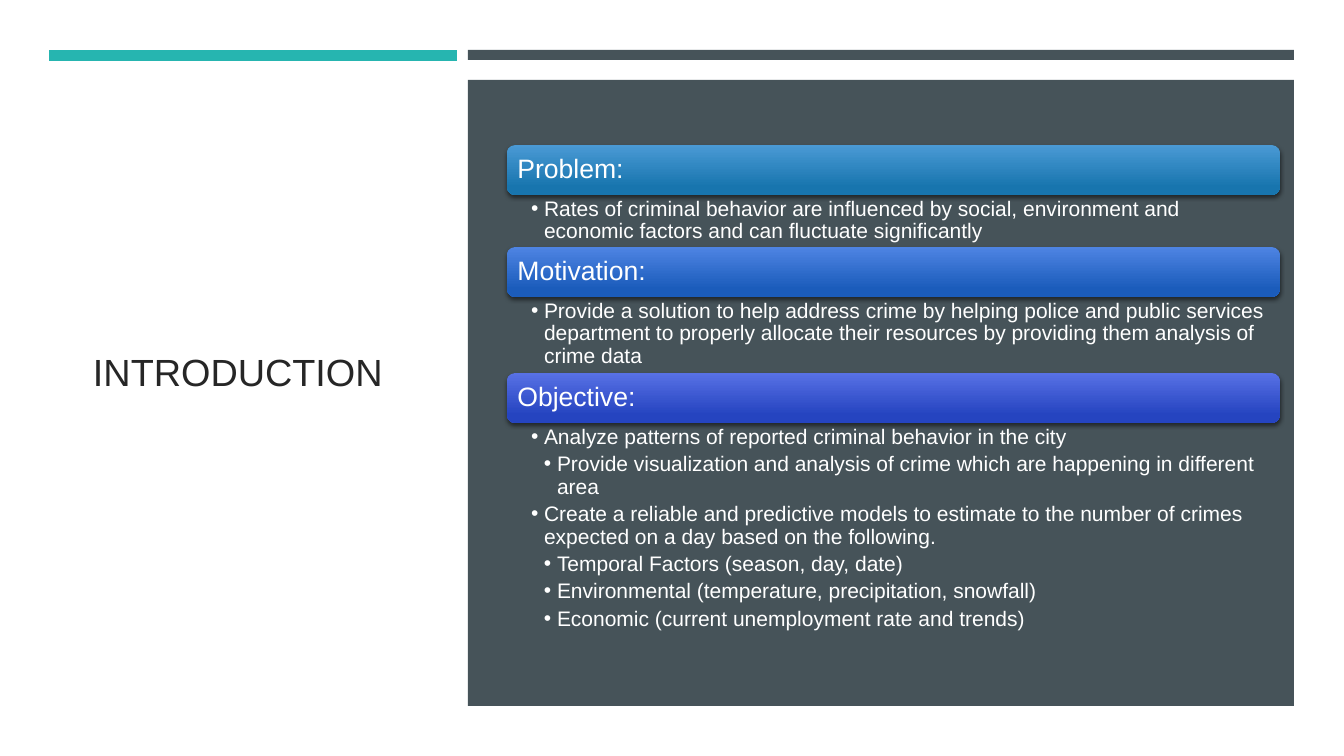
from lxml import etree
from pptx import Presentation
from pptx import util as u
from pptx.dml.color import RGBColor
from pptx.enum import shapes, text
from pptx.oxml.ns import qn

EMU_PER_INCH, PX_PER_INCH = 914400, 100.8


def px(n):
    return u.Emu(round(n * EMU_PER_INCH / PX_PER_INCH))


def color(value):
    return RGBColor.from_string(value)


class Deck:
    font = "Arial"
    white, ink, teal, slate = "FFFFFF", "262626", "26B5B0", "465359"
    title_size, heading_size, list_size = 27, 19, 15
    indent = 13

    def __init__(self, prs, layout):
        self.s = prs.slides.add_slide(prs.slide_layouts[layout])
        self.spare = list(self.s.placeholders)

    def placeholder(self, *box):
        """Take the next free placeholder, move it and bring it to the front."""
        sp = self.spare.pop(0)
        sp.left, sp.top, sp.width, sp.height = map(px, box)
        self.s.shapes._spTree.append(sp._element)
        return sp

    def frame(self, sp, anchor, insets):
        tf = sp.text_frame
        tf.word_wrap = True
        tf.auto_size = text.MSO_AUTO_SIZE.NONE
        tf.vertical_anchor = anchor
        tf.margin_left, tf.margin_top, tf.margin_right, tf.margin_bottom = map(px, insets)
        return tf

    def add_text(self, p, words, size, ink, after=0):
        p.alignment = text.PP_ALIGN.LEFT
        p.line_spacing = 0.9
        p.space_before, p.space_after = u.Pt(0), u.Pt(after)
        r = p.add_run()
        r.text = words
        r.font.name, r.font.size, r.font.bold = self.font, u.Pt(size), False
        r.font.color.rgb = color(ink)

    def shape(self, kind, *box):
        sp = self.s.shapes.add_shape(kind, *map(px, box))
        sp.shadow.inherit = False
        sp.line.fill.background()
        return sp

    def block(self, fill, *box):
        sp = self.shape(shapes.MSO_SHAPE.RECTANGLE, *box)
        sp.fill.solid()
        sp.fill.fore_color.rgb = color(fill)

    def title(self, words, *box):
        tf = self.frame(self.placeholder(*box), text.MSO_ANCHOR.MIDDLE, (10, 5, 10, 5))
        self.add_text(tf.paragraphs[0], words, self.title_size, self.ink)

    def heading(self, words, top_color, bottom_color, *box):
        sp = self.shape(shapes.MSO_SHAPE.ROUNDED_RECTANGLE, *box)
        sp.fill.gradient()
        sp.fill.gradient_angle = 270
        for stop, value, position in zip(sp.fill.gradient_stops,
                                         (top_color, bottom_color), (0, 0.84)):
            stop.color.rgb, stop.position = color(value), position
        # Soft shadow below the bar
        effects = sp._element.spPr.find(qn("a:effectLst"))
        shadow = etree.SubElement(effects, qn("a:outerShdw"), blurRad=str(u.Pt(3)),
                                  dist=str(u.Pt(2)), dir="5400000", rotWithShape="0")
        black = etree.SubElement(shadow, qn("a:srgbClr"), val="000000")
        etree.SubElement(black, qn("a:alpha"), val="55000")
        tf = self.frame(sp, text.MSO_ANCHOR.MIDDLE, (8, 8, 8, 8))
        self.add_text(tf.paragraphs[0], words, self.heading_size, self.white)

    def bullets(self, items, *box):
        tf = self.frame(self.placeholder(*box), text.MSO_ANCHOR.TOP, (24, 3, 15, 3))
        for i, (level, words) in enumerate(items):
            p = tf.paragraphs[0] if i == 0 else tf.add_paragraph()
            p.level = level
            self.add_text(p, words, self.list_size, self.white, after=3.3)
            pPr = p._p.get_or_add_pPr()
            pPr.set("marL", str(px(self.indent * (level + 1))))
            pPr.set("indent", str(px(-self.indent)))
            etree.SubElement(pPr, qn("a:buFont"), typeface=self.font)
            etree.SubElement(pPr, qn("a:buChar"), char="•")

    def drop_spare(self):
        for sp in self.spare:
            sp._element.getparent().remove(sp._element)


# Heading, gradient colours, list height, list of (level, words)
SECTIONS = [
    ("Problem:", "4A9AD5", "1875AE", 52, [
        (0, "Rates of criminal behavior are influenced by social, environment and "
            "economic factors and can fluctuate significantly"),
    ]),
    ("Motivation:", "4E84E3", "1B5CBB", 76, [
        (0, "Provide a solution to help address crime by helping police and public "
            "services department to properly allocate their resources by providing "
            "them analysis of crime data"),
    ]),
    ("Objective:", "5871E5", "2544C0", 217, [
        (0, "Analyze patterns of reported criminal behavior in the city"),
        (1, "Provide visualization and analysis of crime which are happening in "
            "different area"),
        (0, "Create a reliable and predictive models to estimate to the number of "
            "crimes expected on a day based on the following."),
        (1, "Temporal Factors (season, day, date)"),
        (1, "Environmental (temperature, precipitation, snowfall)"),
        (1, "Economic (current unemployment rate and trends)"),
    ]),
]


def main():
    prs = Presentation()
    prs.slide_width, prs.slide_height = px(1344), px(756)
    deck = Deck(prs, layout=4)  # Comparison: a title and several bodies

    # Backdrop and title
    deck.block(deck.white, 0, 0, 1344, 756)
    deck.title("INTRODUCTION", 83, 115, 337, 519)

    # Top bars and panel
    deck.block(deck.teal, 49, 50, 408, 11)
    deck.block(deck.slate, 468, 50, 826, 10)
    deck.block(deck.slate, 468, 80, 826, 626)

    # Sections, stacked from the top
    left, top, width, bar = 507, 145, 773, 50
    for name, light, dark, height, items in SECTIONS:
        deck.heading(name, light, dark, left, top, width, bar)
        deck.bullets(items, left, top + bar, width, height)
        top += bar + height

    deck.drop_spare()
    prs.save("out.pptx")


if __name__ == "__main__":
    main()
